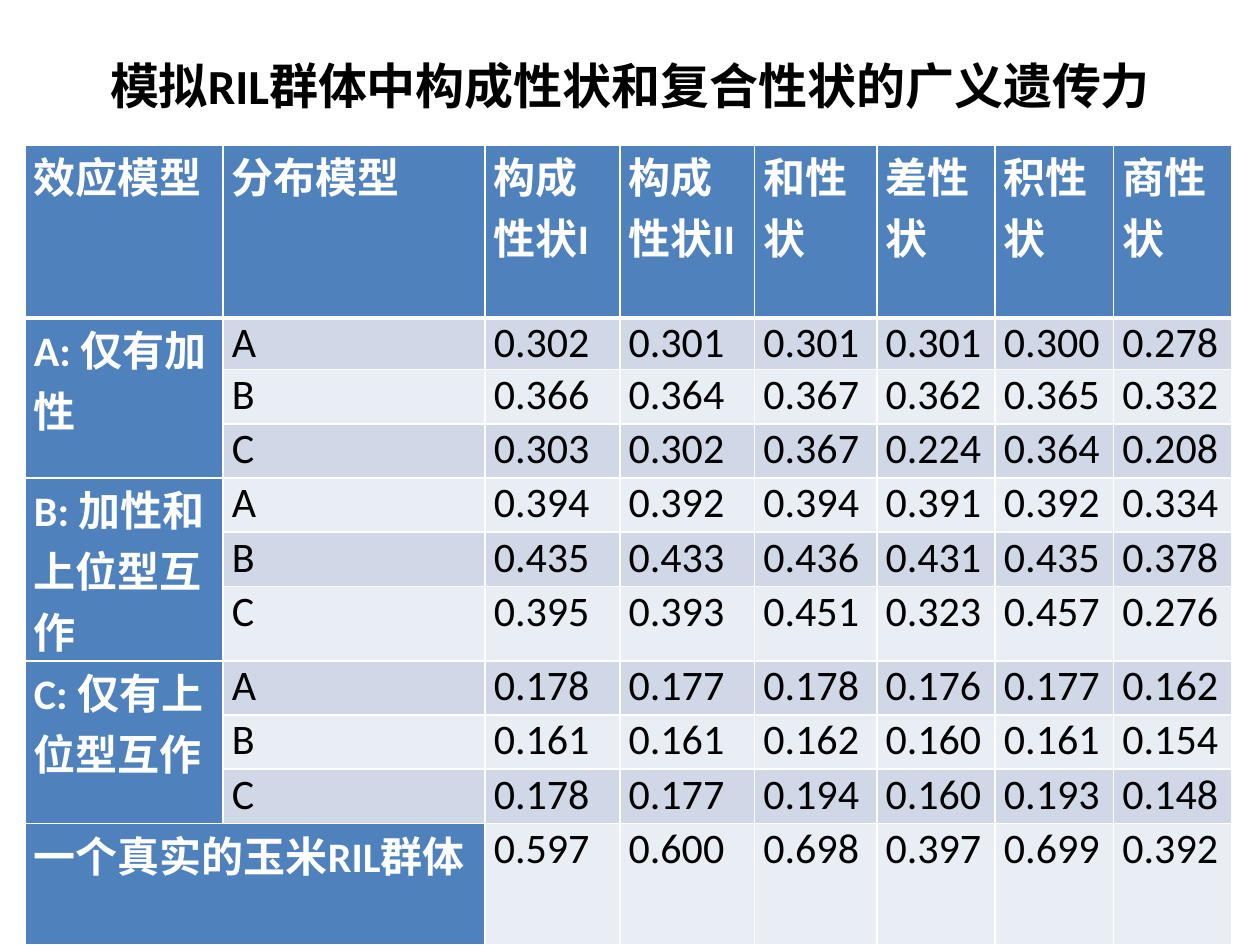
from dataclasses import dataclass
from typing import NamedTuple

from lxml import etree
from pptx import Presentation
from pptx.dml.color import RGBColor
from pptx.enum.text import MSO_ANCHOR, PP_ALIGN
from pptx.oxml.ns import qn
from pptx.util import Inches, Pt

MIDDLE = MSO_ANCHOR.MIDDLE
TOP = MSO_ANCHOR.TOP
CENTER = PP_ALIGN.CENTER
TITLE_ONLY = 5


@dataclass(frozen=True)
class Theme:
    font: str = "Calibri"
    ink: str = "000000"
    paper: str = "FFFFFF"
    head: str = "4F81BD"
    bands: tuple[str, str] = ("E9EDF4", "D0D8E8")
    title: int = 28
    body: int = 24
    rule: int = 1
    thick: int = 3
    pad: float = 0.07


class Group(NamedTuple):
    label: str
    rows: dict[str, str]


THEME = Theme()
WIDE, HIGH = 10, 7.5
TITLE = "模拟RIL群体中构成性状和复合性状的广义遗传力"
HEADS = ["效应模型", "分布模型", "构成性状I", "构成性状II",
         "和性状", "差性状", "积性状", "商性状"]
GROUPS = [
    Group("A: 仅有加性", {
        "A": "0.302 0.301 0.301 0.301 0.300 0.278",
        "B": "0.366 0.364 0.367 0.362 0.365 0.332",
        "C": "0.303 0.302 0.367 0.224 0.364 0.208"}),
    Group("B: 加性和上位型互作", {
        "A": "0.394 0.392 0.394 0.391 0.392 0.334",
        "B": "0.435 0.433 0.436 0.431 0.435 0.378",
        "C": "0.395 0.393 0.451 0.323 0.457 0.276"}),
    Group("C: 仅有上位型互作", {
        "A": "0.178 0.177 0.178 0.176 0.177 0.162",
        "B": "0.161 0.161 0.162 0.160 0.161 0.154",
        "C": "0.178 0.177 0.194 0.160 0.193 0.148"}),
]
REAL = Group("一个真实的玉米RIL群体", {
    "": "0.597 0.600 0.698 0.397 0.699 0.392"})
COLS = [1.57, 2.08, 1.07, 1.07, 0.97, 0.94, 0.94, 0.94]
ROWS = [1.37, 0.41, *[0.43] * 4, 0.58, *[0.43] * 3, 0.96]


def add_run(para, text: str, size: int, color: str, bold: bool) -> None:
    run = para.add_run()
    run.text = text
    font = run.font
    font.name, font.size, font.bold = THEME.font, Pt(size), bold
    font.color.rgb = RGBColor.from_string(color)


def add_rules(cell, base: int) -> None:
    """Rule all four sides of a cell, the lower one at its own weight."""
    props = cell._tc.get_or_add_tcPr()
    for side in "LRTB":
        width = base if side == "B" else THEME.rule
        line = etree.SubElement(props, qn(f"a:ln{side}"), w=str(Pt(width)))
        fill = etree.SubElement(line, qn("a:solidFill"))
        etree.SubElement(fill, qn("a:srgbClr"), val=THEME.paper)


def fill_cell(cell, text: str, row: int, head: bool) -> None:
    add_rules(cell, THEME.thick if row == 0 else THEME.rule)
    cell.margin_left = cell.margin_right = Inches(THEME.pad)
    cell.margin_top = cell.margin_bottom = 0
    cell.vertical_anchor = TOP
    cell.fill.solid()
    tone = THEME.head if head else THEME.bands[row % 2]
    cell.fill.fore_color.rgb = RGBColor.from_string(tone)
    if text:
        color = THEME.paper if head else THEME.ink
        add_run(cell.text_frame.paragraphs[0], text, THEME.body, color, head)


def list_rows() -> list[list[str]]:
    """Give every table row as text, each group label on its first row only."""
    grid = [HEADS]
    for group in [*GROUPS, REAL]:
        for i, (model, values) in enumerate(group.rows.items()):
            grid.append(["" if i else group.label, model, *values.split()])
    return grid


def add_title(slide) -> None:
    title = slide.shapes.title
    title.left, title.top = Inches(WIDE * 0.05), Inches(0.36)
    title.width, title.height = Inches(WIDE * 0.9), Inches(0.63)
    frame = title.text_frame
    frame.vertical_anchor = MIDDLE
    para = frame.paragraphs[0]
    para.alignment = CENTER
    add_run(para, TITLE, THEME.title, THEME.ink, True)


def add_grid(slide) -> None:
    table = slide.shapes.add_table(
        len(ROWS), len(COLS), Inches(0.2), Inches(1.15),
        Inches(sum(COLS)), Inches(sum(ROWS))).table
    table.first_col = True
    for col, width in zip(table.columns, COLS):
        col.width = Inches(width)
    for row, height in zip(table.rows, ROWS):
        row.height = Inches(height)

    last = len(ROWS) - 1
    for r, texts in enumerate(list_rows()):
        for c, text in enumerate(texts):
            head = r == 0 or c == 0 or (r == last and c == 1)
            fill_cell(table.cell(r, c), text, r, head)

    top = 1
    for group in GROUPS:
        end = top + len(group.rows)
        table.cell(top, 0).merge(table.cell(end - 1, 0))
        top = end
    table.cell(last, 0).merge(table.cell(last, 1))


def main() -> None:
    deck = Presentation()
    deck.slide_width, deck.slide_height = Inches(WIDE), Inches(HIGH)
    slide = deck.slides.add_slide(deck.slide_layouts[TITLE_ONLY])
    add_title(slide)
    add_grid(slide)
    deck.save("out.pptx")


if __name__ == "__main__":
    main()
